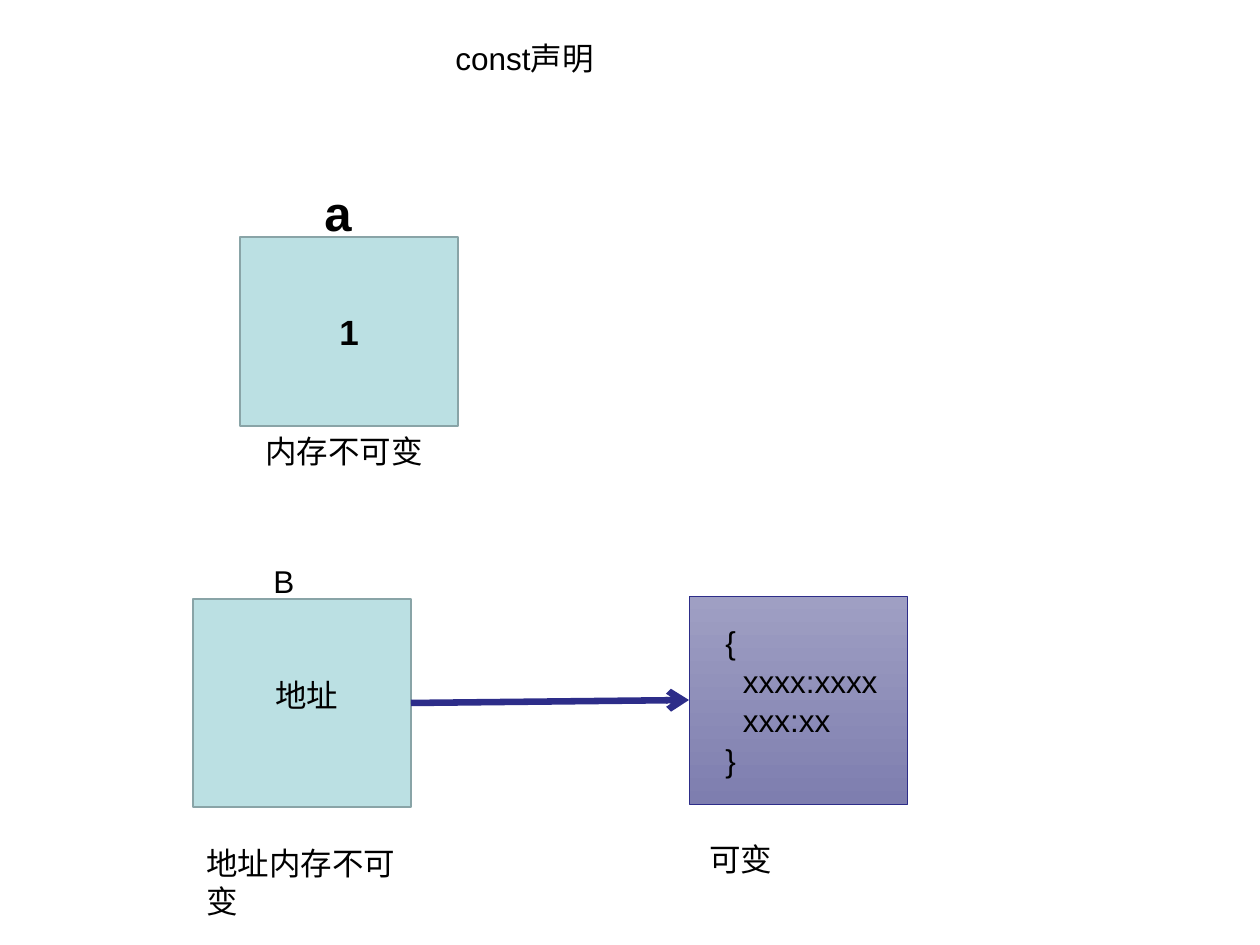
from dataclasses import dataclass

import pptx
import pptx.dml.color
import pptx.enum.dml
import pptx.enum.shapes
import pptx.enum.text
import pptx.oxml
import pptx.oxml.ns
import pptx.util
from pptx.dml.color import RGBColor

SCALE = 914400 / 126  # EMU per px
BLACK = RGBColor(0x00, 0x00, 0x00)
TEAL = RGBColor(0xBB, 0xE0, 0xE3)
EDGE = RGBColor(0x89, 0xA4, 0xA7)
NAVY = RGBColor(0x2D, 0x2D, 0x89)
LIGHT = RGBColor(0x9F, 0x9F, 0xC3)
DARK = RGBColor(0x7E, 0x7E, 0xAF)
CENTER = pptx.enum.text.PP_ALIGN.CENTER


@dataclass
class Box:
    left: int
    top: int
    width: int
    height: int
    fills: tuple
    edge: RGBColor
    weight: float
    text: str = ""


@dataclass
class Label:
    text: str
    left: int
    top: int
    width: int
    height: int = 50
    indent: int = 0
    size: int = 18
    bold: bool = False
    center: bool = False
    wrap: bool = True
    pitch: float = 1.0


VALUE = Box(240, 237, 218, 189, (TEAL,), EDGE, 1, "1")
REF = Box(193, 599, 218, 208, (TEAL,), EDGE, 1)
DATA = Box(689, 596, 218, 208, (LIGHT, DARK), NAVY, 0.5)

LABELS = [
    Label("a", 312, 176, 52, 72, size=28, bold=True, center=True, wrap=False),
    Label("内存不可变", 197, 426, 330, indent=56),
    Label("B", 261, 556, 81),
    Label("地址", 263, 670, 110),
    Label("{\n  xxxx:xxxx\n  xxx:xx\n}", 713, 615, 185, 164, pitch=1.04),
    Label("可变", 677, 834, 301, indent=20),
    Label("地址内存不可变", 194, 838, 227, 88),
    Label("const声明", 435, 33, 454, indent=8),
]


def px(count: int) -> int:
    return round(count * SCALE)


def style(frame, size: int, bold: bool, center: bool) -> None:
    for para in frame.paragraphs:
        if center:
            para.alignment = CENTER
        for run in para.runs:
            font = run.font
            font.name = "Arial"
            font.size = pptx.util.Pt(size)
            font.bold = bold
            font.color.rgb = BLACK


def draw_box(slide, box: Box):
    shape = slide.shapes.add_shape(
        pptx.enum.shapes.MSO_SHAPE.RECTANGLE,
        px(box.left), px(box.top), px(box.width), px(box.height))
    shape.shadow.inherit = False
    if len(box.fills) == 1:
        shape.fill.solid()
        shape.fill.fore_color.rgb = box.fills[0]
    else:
        shape.fill.gradient()
        shape.fill.gradient_angle = 270
        for stop, color in zip(shape.fill.gradient_stops, box.fills):
            stop.color.rgb = color
    shape.line.color.rgb = box.edge
    shape.line.width = pptx.util.Pt(box.weight)
    if box.text:
        frame = shape.text_frame
        frame.text = box.text
        frame.vertical_anchor = pptx.enum.text.MSO_ANCHOR.MIDDLE
        style(frame, 20, True, True)
    return shape


def draw_label(slide, label: Label) -> None:
    shape = slide.shapes.add_textbox(
        px(label.left), px(label.top), px(label.width), px(label.height))
    frame = shape.text_frame
    frame.word_wrap = label.wrap
    frame.text = label.text
    for para in frame.paragraphs:
        if label.indent:
            para._p.get_or_add_pPr().set("marL", str(px(label.indent)))
        if label.pitch != 1:
            para.line_spacing = label.pitch
    style(frame, label.size, label.bold, label.center)


def draw_arrow(slide, start, end) -> None:
    """Join the right side of start to the left side of end."""
    arrow = slide.shapes.add_connector(
        pptx.enum.shapes.MSO_CONNECTOR.STRAIGHT, 0, 0, 0, 0)
    arrow.begin_connect(start, 3)
    arrow.end_connect(end, 1)
    arrow.line.color.rgb = NAVY
    arrow.line.width = pptx.util.Pt(3.75)
    space = pptx.oxml.ns.nsdecls("a")
    line = arrow.line._get_or_add_ln()
    line.append(pptx.oxml.parse_xml(f'<a:tailEnd {space} type="arrow"/>'))
    arrow._element.spPr.append(pptx.oxml.parse_xml(f"<a:effectLst {space}/>"))


def main() -> None:
    deck = pptx.Presentation()
    deck.slide_width, deck.slide_height = px(1260), px(945)
    slide = deck.slides.add_slide(deck.slide_layouts[6])
    draw_box(slide, VALUE)
    ref, data = draw_box(slide, REF), draw_box(slide, DATA)
    draw_arrow(slide, ref, data)
    for label in LABELS:
        draw_label(slide, label)
    deck.save("out.pptx")


if __name__ == "__main__":
    main()
